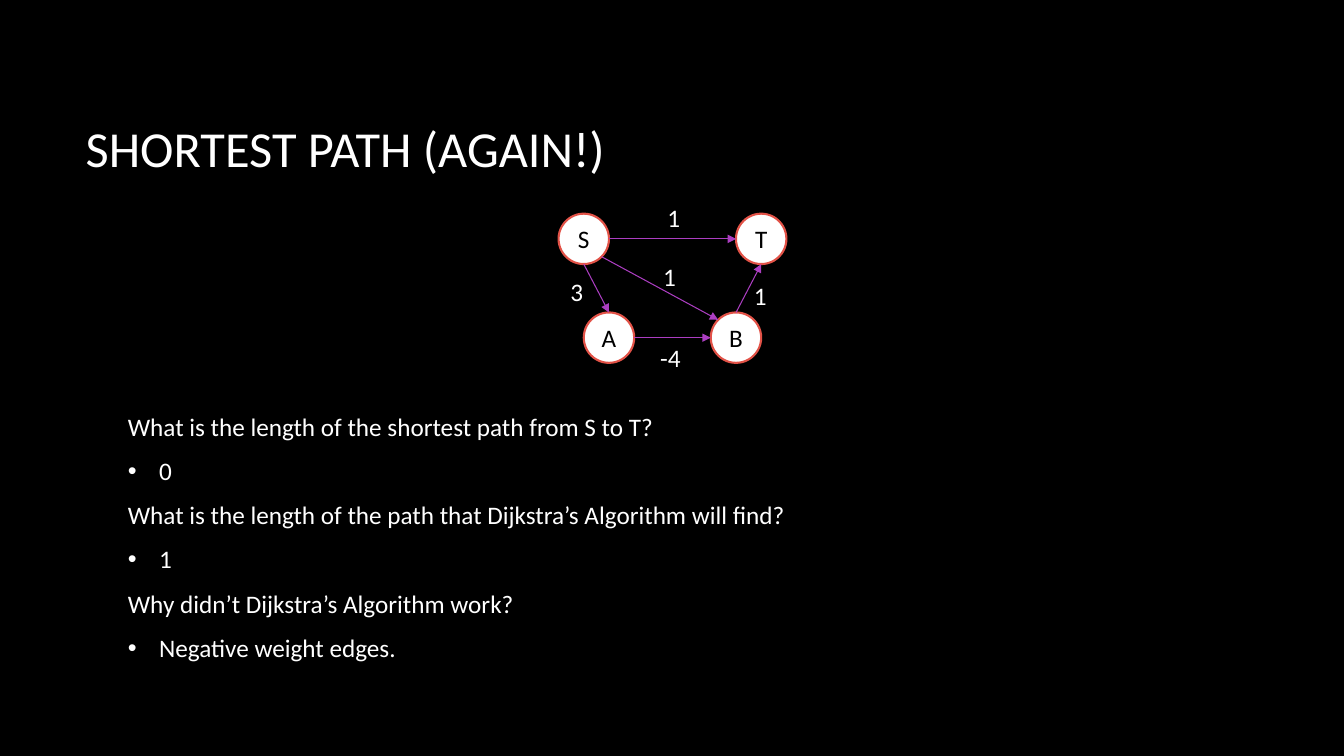
from math import cos, radians, sin

from lxml.etree import SubElement
from pptx import Presentation
from pptx.dml.color import RGBColor
from pptx.enum.shapes import MSO_CONNECTOR, MSO_SHAPE
from pptx.enum.text import MSO_ANCHOR, MSO_AUTO_SIZE, PP_ALIGN
from pptx.oxml.ns import qn
from pptx.util import Pt

EMU_PER_PX = 9144  # 100 px to the inch
BLACK = RGBColor(0x00, 0x00, 0x00)
WHITE = RGBColor(0xFF, 0xFF, 0xFF)
RED = RGBColor(0xE2, 0x52, 0x47)
PURPLE = RGBColor(0xAC, 0x3E, 0xC1)

RADIUS = 25
NODES = {"S": (579, 237), "B": (730, 335), "A": (604, 335), "T": (755, 237)}

# Angles run clockwise from east, as y grows downwards.
EAST, SOUTHEAST, SOUTH, WEST, NORTHWEST, NORTH = 0, 45, 90, 180, 225, 270
EDGES = [
    ("S", EAST, "T", WEST),
    ("S", SOUTH, "A", NORTH),
    ("A", EAST, "B", WEST),
    ("S", SOUTHEAST, "B", NORTHWEST),
    ("B", NORTH, "T", SOUTH),
]
WEIGHTS = [
    ("1", 652, 196, 34),
    ("1", 648, 254, 34),
    ("1", 738, 273, 34),
    ("3", 556, 269, 34),
    ("-4", 645, 335, 43),
]
QUESTIONS = [
    ("What is the length of the shortest path from S to T?", "0"),
    ("What is the length of the path that Dijkstra’s Algorithm will find?", "1"),
    ("Why didn’t Dijkstra’s Algorithm work?", "Negative weight edges."),
]


def px(*lengths):
    return [round(length * EMU_PER_PX) for length in lengths]


def rim_point(node, angle):
    x, y = NODES[node]
    return x + RADIUS * cos(radians(angle)), y + RADIUS * sin(radians(angle))


class SlideBuilder:
    font = "Calibri"
    text_size = 18

    def __init__(self, presentation):
        self.slide = presentation.slides.add_slide(presentation.slide_layouts[5])
        self.slide.background.fill.solid()
        self.slide.background.fill.fore_color.rgb = BLACK
        self.graph = None

    def add_text(self, paragraph, text, size=text_size, color=WHITE):
        run = paragraph.add_run()
        run.text = text
        run.font.name = self.font
        run.font.size = Pt(size)
        run.font.color.rgb = color

    def title(self, text, left, top, width, height):
        title = self.slide.shapes.title
        title.left, title.top, title.width, title.height = px(left, top, width, height)
        frame = title.text_frame
        frame.auto_size = MSO_AUTO_SIZE.NONE
        frame.vertical_anchor = MSO_ANCHOR.MIDDLE
        frame.paragraphs[0].alignment = PP_ALIGN.LEFT
        self.add_text(frame.paragraphs[0], text, size=36)

    def questions(self, pairs, left, top, width, height):
        box = self.slide.shapes.add_textbox(*px(left, top, width, height))
        frame = box.text_frame
        frame.word_wrap = True
        frame.vertical_anchor = MSO_ANCHOR.MIDDLE
        for number, (question, answer) in enumerate(pairs):
            paragraph = frame.add_paragraph() if number else frame.paragraphs[0]
            self.add_text(paragraph, question)
            reply = frame.add_paragraph()
            self.add_text(reply, answer)
            self.bullet(reply, 31)
            paragraph.space_after = reply.space_after = Pt(10)

    def bullet(self, paragraph, indent):
        properties = paragraph._p.get_or_add_pPr()
        (hanging,) = px(indent)
        properties.set("marL", str(hanging))
        properties.set("indent", str(-hanging))
        SubElement(properties, qn("a:buFont"), typeface="Arial")
        SubElement(properties, qn("a:buChar"), char="•")

    def start_graph(self):
        self.graph = self.slide.shapes.add_group_shape().shapes

    def node(self, name, x, y):
        node = self.graph.add_shape(
            MSO_SHAPE.FLOWCHART_CONNECTOR,
            *px(x - RADIUS, y - RADIUS, 2 * RADIUS, 2 * RADIUS),
        )
        node.shadow.inherit = False
        node.fill.solid()
        node.fill.fore_color.rgb = WHITE
        node.line.color.rgb = RED
        node.line.width = Pt(1.5)
        frame = node.text_frame
        frame.margin_left = frame.margin_right = 0
        frame.vertical_anchor = MSO_ANCHOR.MIDDLE
        frame.paragraphs[0].alignment = PP_ALIGN.CENTER
        self.add_text(frame.paragraphs[0], name, color=BLACK)

    def arrow(self, start, end):
        arrow = self.graph.add_connector(MSO_CONNECTOR.STRAIGHT, *px(*start, *end))
        arrow.line.color.rgb = PURPLE
        arrow.line.width = Pt(0.75)
        SubElement(arrow.line._get_or_add_ln(), qn("a:tailEnd"), type="triangle")
        SubElement(arrow._element.spPr, qn("a:effectLst"))

    def weight(self, text, left, top, width):
        box = self.graph.add_textbox(*px(left, top, width, 40))
        frame = box.text_frame
        frame.word_wrap = False
        frame.auto_size = MSO_AUTO_SIZE.SHAPE_TO_FIT_TEXT
        self.add_text(frame.paragraphs[0], text)


def main():
    presentation = Presentation()
    presentation.slide_width, presentation.slide_height = px(1333, 750)
    builder = SlideBuilder(presentation)
    builder.title("SHORTEST PATH (AGAIN!)", 75, 67, 1108, 159)
    builder.questions(QUESTIONS, 117, 390, 1100, 285)

    builder.start_graph()
    for name, (x, y) in NODES.items():
        builder.node(name, x, y)
    for source, leaving, target, arriving in EDGES:
        builder.arrow(rim_point(source, leaving), rim_point(target, arriving))
    for weight in WEIGHTS:
        builder.weight(*weight)

    presentation.save("out.pptx")


if __name__ == "__main__":
    main()
